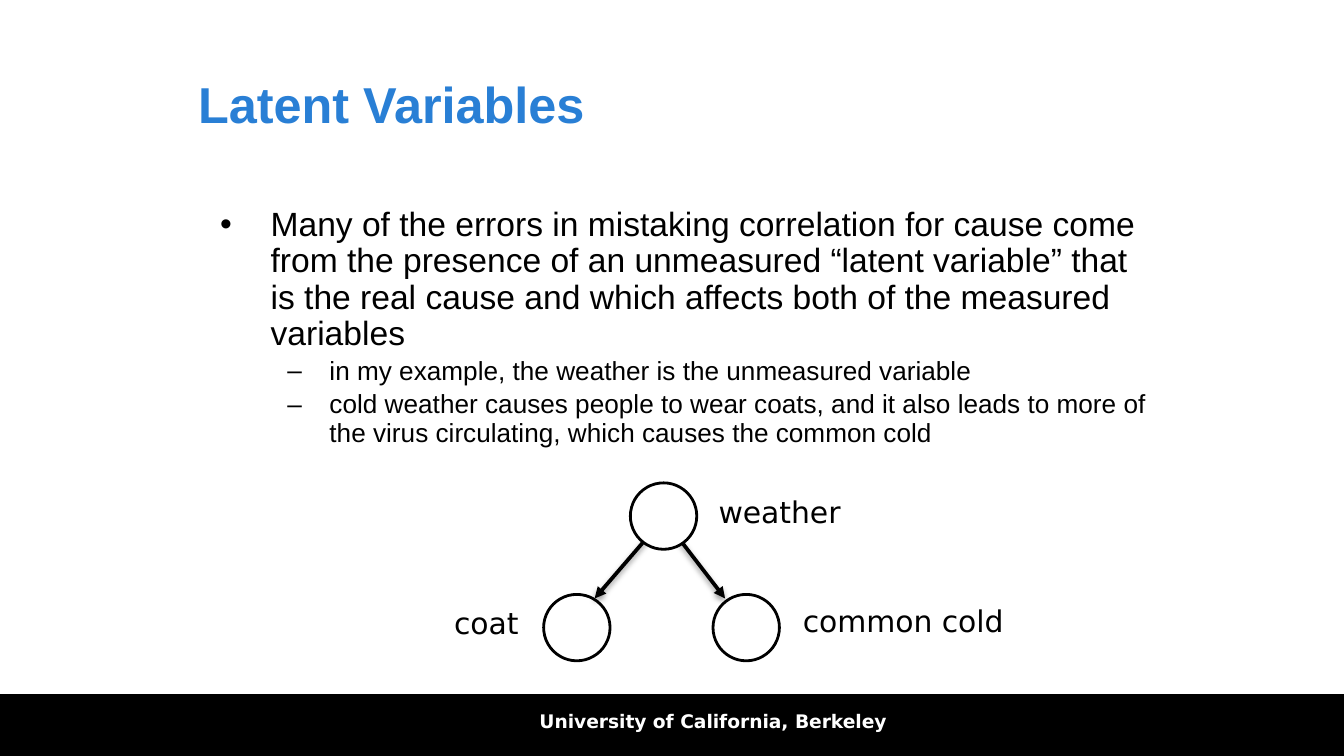
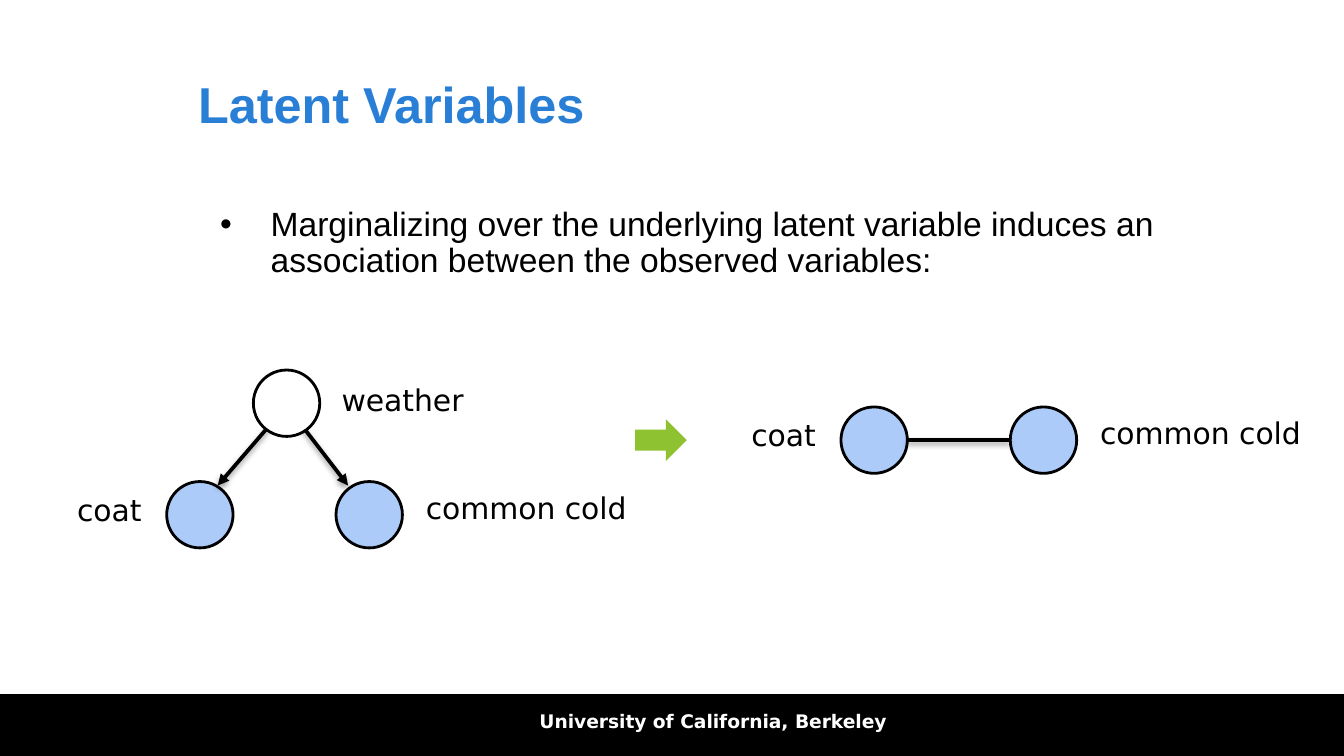
from lxml.etree import SubElement
from pptx import Presentation
from pptx.dml.color import RGBColor
from pptx.enum.shapes import MSO_CONNECTOR as Connector, MSO_SHAPE as Preset
from pptx.enum.text import MSO_ANCHOR as Anchor, MSO_AUTO_SIZE as AutoSize, PP_ALIGN as Align
from pptx.oxml.ns import qn
from pptx.util import Inches, Pt

COLORS = {
    "title": "297FD5",
    "ink": "000000",
    "paper": "FFFFFF",
    "observed": "ACCBF9",
    "arrow": "8FC230",
}
COLUMNS, ROWS = 100, 56.25     # one grid cell is a tenth of an inch
NODE = 4.94                    # diameter of a graph node
# level: (bullet, text size, left margin, hanging indent)
BULLETS = {0: ("•", 18, 3.75, -3.75), 1: ("–", 14, 8.13, -3.13)}


def cells(count):
    return Inches(count / 10)


def rgb(name):
    return RGBColor.from_string(COLORS[name])


class Deck:
    """Holds the shared style and the slide being built."""

    def __init__(self):
        self.show = Presentation()
        self.show.slide_width = cells(COLUMNS)
        self.show.slide_height = cells(ROWS)
        self.shapes = None

    # Slide frame: band, title and footer
    def start_slide(self, title):
        slide = self.show.slides.add_slide(self.show.slide_layouts[6])
        slide.background.fill.solid()
        slide.background.fill.fore_color.rgb = rgb("paper")
        self.shapes = slide.shapes
        self.shape(Preset.RECTANGLE, 0, 51.65, COLUMNS, 4.7, "ink")
        heading = self.text(title, 13.75, 3, 75.2, 9.4, 27, "Arial", "title", bold=True)
        heading.vertical_anchor = Anchor.MIDDLE
        footer = self.text("University of California, Berkeley",
                           21.4, 52.35, 63.3, 3.5, 10, color="paper", bold=True)
        footer.paragraphs[0].alignment = Align.CENTER

    def style(self, paragraph, size, font, color, bold=False):
        for run in paragraph.runs:
            run.font.size, run.font.name, run.font.bold = Pt(size), font, bold
            run.font.color.rgb = rgb(color)

    def text(self, words, x, y, width, height, size, font="DejaVu Sans",
             color="ink", bold=False):
        box = self.shapes.add_textbox(cells(x), cells(y), cells(width), cells(height))
        frame = box.text_frame
        frame.word_wrap = True
        frame.text = words
        self.style(frame.paragraphs[0], size, font, color, bold)
        return frame

    def label(self, words, x, y, width):
        frame = self.text(words, x, y, width, 3.7, 16)
        frame.word_wrap = False
        frame.auto_size = AutoSize.SHAPE_TO_FIT_TEXT

    def bullets(self, items, height):
        box = self.shapes.add_textbox(cells(15.4), cells(14.95), cells(71.9), cells(height))
        frame = box.text_frame
        frame.word_wrap = True
        for number, (level, words) in enumerate(items):
            paragraph = frame.add_paragraph() if number else frame.paragraphs[0]
            paragraph.text, paragraph.level = words, level
            paragraph.line_spacing = 0.9
            mark, size, margin, indent = BULLETS[level]
            self.style(paragraph, size, "Arial", "ink")
            props = paragraph._p.get_or_add_pPr()
            props.set("marL", str(cells(margin)))
            props.set("indent", str(cells(indent)))
            before = SubElement(props, qn("a:spcBef"))
            SubElement(before, qn("a:spcPct"), val="20000")
            SubElement(props, qn("a:buFont"), typeface="Arial")
            SubElement(props, qn("a:buChar"), char=mark)

    def shape(self, preset, x, y, width, height, fill=None, line=None):
        item = self.shapes.add_shape(preset, cells(x), cells(y), cells(width), cells(height))
        item.shadow.inherit = False
        if fill:
            item.fill.solid()
            item.fill.fore_color.rgb = rgb(fill)
        else:
            item.fill.background()
        if line:
            item.line.color.rgb = rgb(line)
            item.line.width = Pt(1.5)
        else:
            item.line.fill.background()

    def node(self, x, y, fill=None):
        self.shape(Preset.OVAL, x, y, NODE, NODE, fill, "ink")

    def edge(self, x1, y1, x2, y2, arrow=True):
        link = self.shapes.add_connector(
            Connector.STRAIGHT, cells(x1), cells(y1), cells(x2), cells(y2))
        link.line.color.rgb = rgb("ink")
        link.line.width = Pt(2)
        if arrow:
            SubElement(link.line._get_or_add_ln(), qn("a:tailEnd"), type="triangle")
        effects = SubElement(link._element.spPr, qn("a:effectLst"))
        shadow = SubElement(effects, qn("a:outerShdw"), blurRad=str(Pt(3.1)),
                            dist=str(Pt(1.6)), dir="5400000", rotWithShape="0")
        tint = SubElement(shadow, qn("a:srgbClr"), val=COLORS["ink"])
        SubElement(tint, qn("a:alpha"), val="38000")

    # Measured variables, placed from the corner of the coat node
    def measured_pair(self, x, y, fill=None):
        self.node(x, y, fill)
        self.node(x + 12.6, y, fill)
        self.label("coat", x - 7.65, y + 0.25, 6.8)
        self.label("common cold", x + 18.3, y + 0.12, 17.1)

    # Weather as the common cause of the measured pair
    def latent_graph(self, x, y, fill=None):
        self.edge(x + 9.5, y + 3.4, x + 13.5, y + 8.6)
        self.measured_pair(x, y + 8.3, fill)
        self.edge(x + 8.8, y + 2.8, x + 3.8, y + 8.6)
        self.node(x + 6.45, y, "paper")
        self.label("weather", x + 12.03, y + 0.35, 11.1)


def main():
    deck = Deck()

    # Slide 1: the unmeasured cause
    deck.start_slide("Latent Variables")
    deck.bullets([
        (0, "Many of the errors in mistaking correlation for cause come from the "
            "presence of an unmeasured “latent variable” that is the real cause "
            "and which affects both of the measured variables"),
        (1, "in my example, the weather is the unmeasured variable"),
        (1, "cold weather causes people to wear coats, and it also leads to more "
            "of the virus circulating, which causes the common cold"),
    ], 36.4)
    deck.latent_graph(40.45, 35.93)

    # Slide 2: marginalizing leaves an association
    deck.start_slide("Latent Variables")
    deck.bullets([
        (0, "Marginalizing over the underlying latent variable induces an "
            "association between the observed variables:"),
    ], 9.5)
    deck.latent_graph(12.4, 27.53, "observed")
    deck.shape(Preset.RIGHT_ARROW, 47.25, 31.2, 3.85, 3.1, "arrow")
    deck.measured_pair(62.57, 30.28, "observed")
    deck.edge(62.57 + NODE, 32.75, 62.57 + 12.6, 32.75, arrow=False)

    deck.show.save("out.pptx")


if __name__ == "__main__":
    main()
